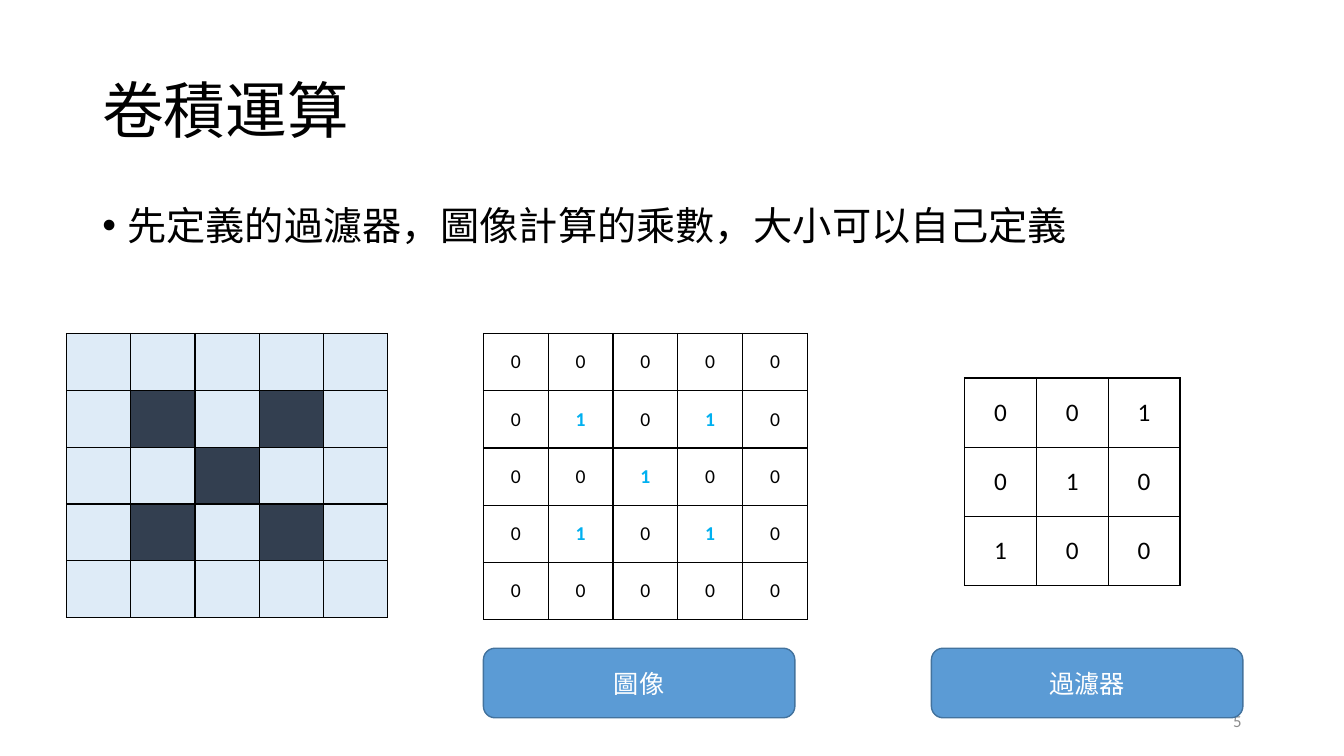
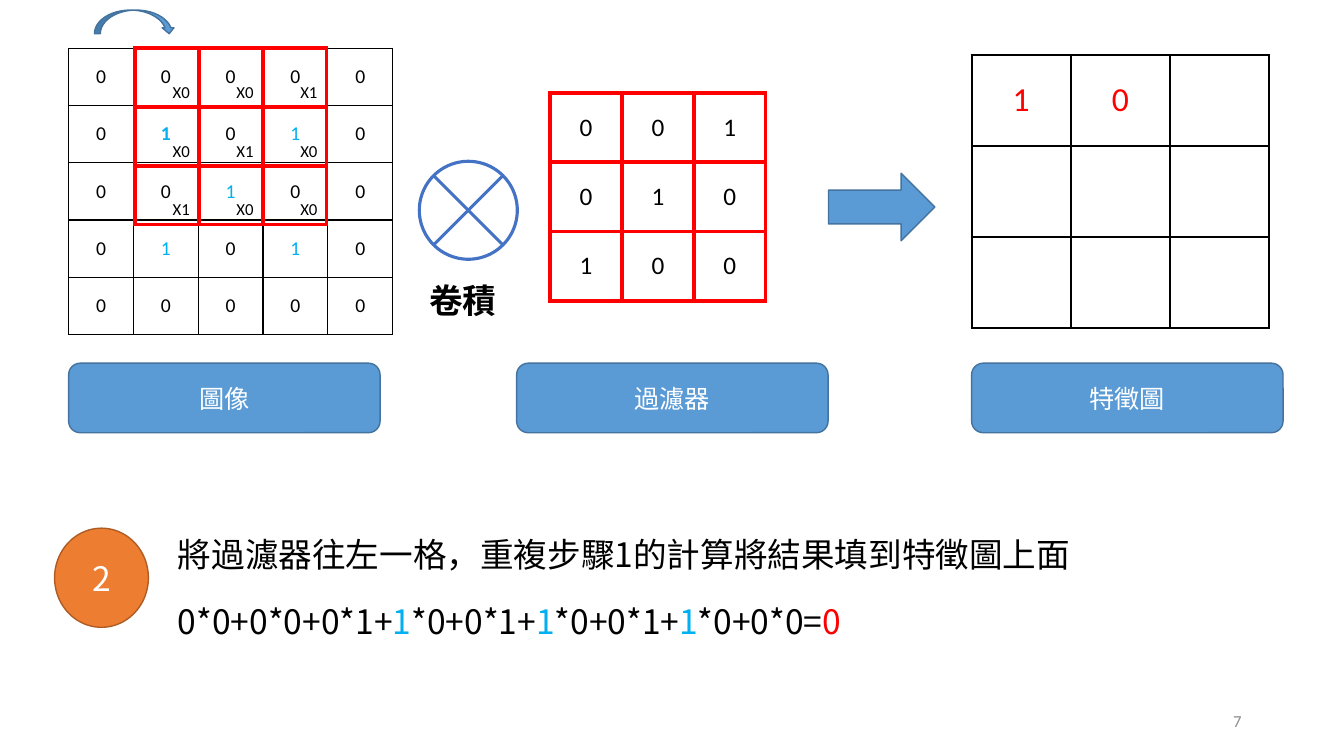
"""Builds two slides that explain the convolution of an image with a filter."""
from lxml.etree import SubElement
from pptx import Presentation
from pptx.dml.color import RGBColor
from pptx.enum.shapes import MSO_SHAPE as Shape
from pptx.enum.text import MSO_ANCHOR as Anchor, MSO_AUTO_SIZE as AutoSize, PP_ALIGN as Align
from pptx.oxml.ns import qn
from pptx.util import Pt

LATIN, CJK = "Calibri", "Noto Sans CJK SC"
BLACK, WHITE, RED, CYAN, GRAY = "000000", "FFFFFF", "FF0000", "00B0F0", "8C8C8C"
BLUE, BLUE_EDGE, JUNCTION_EDGE = "5B9BD5", "43739E", "4472C4"
ORANGE, ORANGE_EDGE = "ED7D31", "AF5C24"
PIXEL_FILLS = {"0": "DEEBF7", "1": "333F50"}

IMAGE = ["00000", "01010", "00100", "01010", "00000"]
FILTER = ["001", "010", "100"]
FEATURES = [["1", "0", ""], ["", "", ""], ["", "", ""]]
IMAGE_CELL, PIXEL_CELL, FILTER_CELL = (46.3, 40.9), (45.9, 40.6), (51.3, 49.5)
MULTIPLIER_CELL, FEATURE_CELL = (45.6, 42), (70.9, 64.9)
LABEL_SIZE = (222.5, 49.7)


def color(value):
    return RGBColor.from_string(value)


def assign(target, values):
    for name, value in values.items():
        setattr(target, name, value)


class Deck:
    def __init__(self):
        self.presentation = Presentation()
        assign(self.presentation, {"slide_width": Pt(960), "slide_height": Pt(540)})
        self.slide = None

    def add_slide(self, number):
        self.slide = self.presentation.slides.add_slide(self.presentation.slide_layouts[6])
        self.text(678, 500.4, 216, 28.8, [(str(number), GRAY)], size=12, font=LATIN,
                  align=Align.RIGHT, anchor=Anchor.MIDDLE)

    def add_runs(self, paragraph, runs, size, font=CJK, bold=False, align=Align.LEFT):
        paragraph.alignment = align
        for content, tint in runs:
            run = paragraph.add_run()
            run.text = content
            assign(run.font, {"name": font, "size": Pt(size), "bold": bold})
            run.font.color.rgb = color(tint)
            SubElement(run.font._element, qn("a:ea"), typeface=font)

    def text(self, left, top, width, height, runs, size, anchor=Anchor.TOP, grow=False,
             bullet=False, spacing=1.0, **style):
        box = self.slide.shapes.add_textbox(Pt(left), Pt(top), Pt(width), Pt(height))
        assign(box.text_frame, {
            "word_wrap": True,
            "vertical_anchor": anchor,
            "auto_size": AutoSize.SHAPE_TO_FIT_TEXT if grow else AutoSize.NONE,
        })
        paragraph = box.text_frame.paragraphs[0]
        if bullet:
            properties = paragraph._p.get_or_add_pPr()
            properties.set("marL", str(Pt(18)))
            properties.set("indent", str(-Pt(18)))
            SubElement(properties, qn("a:buFont"), typeface="Arial")
            SubElement(properties, qn("a:buChar"), char="•")
        paragraph.line_spacing = spacing
        self.add_runs(paragraph, runs, size, **style)

    def title(self, content):
        self.text(66, 28.8, 828, 104.4, [(content, BLACK)], 44, anchor=Anchor.MIDDLE, spacing=0.9)

    def shape(self, kind, left, top, width, height, fill=BLUE, edge=BLUE_EDGE, weight=1,
              content="", size=18):
        shape = self.slide.shapes.add_shape(kind, Pt(left), Pt(top), Pt(width), Pt(height))
        shape.shadow.inherit = False
        shape.fill.solid()
        shape.fill.fore_color.rgb = color(fill)
        shape.line.color.rgb = color(edge)
        shape.line.width = Pt(weight)
        if content:
            shape.text_frame.vertical_anchor = Anchor.MIDDLE
            self.add_runs(shape.text_frame.paragraphs[0], [(content, WHITE)], size,
                          align=Align.CENTER)

    def labels(self, top, places):
        for left, content in places:
            self.shape(Shape.ROUNDED_RECTANGLE, left, top, *LABEL_SIZE, content=content)

    def border(self, cell, tint, weight):
        properties = cell._tc.get_or_add_tcPr()
        for side in ("lnL", "lnR", "lnT", "lnB"):
            line = SubElement(properties, qn(f"a:{side}"), w=str(Pt(weight)))
            SubElement(SubElement(line, qn("a:solidFill")), qn("a:srgbClr"), val=tint)

    def grid(self, left, top, cell_size, rows, size=14, tint=BLACK, one_tint=None, bold_ones=(),
             edge=BLACK, weight=1, fills=None, align=Align.CENTER, anchor=Anchor.MIDDLE,
             margins=(6, 3)):
        width, height = cell_size
        columns = len(rows[0])
        table = self.slide.shapes.add_table(
            len(rows), columns, Pt(left), Pt(top),
            Pt(width * columns), Pt(height * len(rows))).table
        assign(table, {"first_row": False, "horz_banding": False})
        for column in table.columns:
            column.width = Pt(width)
        side, end = map(Pt, margins)
        for row_index, row in enumerate(rows):
            table.rows[row_index].height = Pt(height)
            for column_index, value in enumerate(row):
                cell = table.cell(row_index, column_index)
                assign(cell, {"vertical_anchor": anchor, "margin_left": side,
                              "margin_right": side, "margin_top": end, "margin_bottom": end})
                self.border(cell, edge, weight)
                if fills:
                    cell.fill.solid()
                    cell.fill.fore_color.rgb = color(fills[value])
                    continue
                cell.fill.background()
                if value:
                    value_tint = one_tint if one_tint and value == "1" else tint
                    self.add_runs(cell.text_frame.paragraphs[0], [(value, value_tint)], size,
                                  LATIN, (row_index, column_index) in bold_ones, align)

    def image_grid(self, left, top, bold_ones):
        self.grid(left, top, IMAGE_CELL, IMAGE, one_tint=CYAN, bold_ones=bold_ones)

    def filter_grid(self, left, top, **border):
        self.grid(left, top, FILTER_CELL, FILTER, size=18, margins=(7.2, 3.6), **border)


def add_definition(deck):
    deck.add_slide(5)
    deck.title("卷積運算")
    deck.text(66, 144, 828, 40, [("先定義的過濾器，圖像計算的乘數，大小可以自己定義", BLACK)], 28,
              bullet=True, spacing=0.9)
    ones = [(row, column) for row, values in enumerate(IMAGE)
            for column, value in enumerate(values) if value == "1"]
    deck.image_grid(345.3, 238.2, ones)
    deck.grid(47.5, 238.2, PIXEL_CELL, IMAGE, fills=PIXEL_FILLS)
    deck.filter_grid(689, 270)
    deck.labels(463, [(345.3, "圖像"), (665.3, "過濾器")])


def add_second_step(deck):
    deck.add_slide(7)
    deck.image_grid(49, 34.5, [(1, 1)])
    deck.filter_grid(393, 66.4, edge=RED, weight=3)
    deck.labels(259.4, [(49, "圖像"), (369, "過濾器"), (694, "特徵圖")])
    deck.shape(Shape.FLOWCHART_SUMMING_JUNCTION, 299.5, 115.2, 70, 70,
               fill=WHITE, edge=JUNCTION_EDGE, weight=2.25)
    deck.text(299.5, 196.6, 70, 36, [("卷積", BLACK)], 24, grow=True, bold=True)
    deck.grid(694, 39.4, FEATURE_CELL, FEATURES, size=24, tint=RED, weight=1.5, margins=(5, 2.5))
    deck.shape(Shape.RIGHT_ARROW, 591.8, 123.8, 76, 48.2)
    formula = ["0*0+0*0+0*1+", "1", "*0+0*1+", "1", "*0+0*1+", "1", "*0+0*0="]
    runs = [(part, CYAN if part == "1" else BLACK) for part in formula] + [("0", RED)]
    deck.text(120, 425.5, 803.5, 36, runs, 24, grow=True)
    multipliers = [[f"X{value}" for value in row] for row in FILTER]
    deck.grid(96.5, 34.5, MULTIPLIER_CELL, multipliers, size=12, edge=RED, weight=3,
              align=Align.RIGHT, anchor=Anchor.BOTTOM, margins=(6.5, 3))
    deck.text(120, 377.5, 803.5, 36,
              [("將過濾器往左一格，重複步驟1的計算將結果填到特徵圖上面", BLACK)], 24, grow=True)
    deck.shape(Shape.OVAL, 39, 377.3, 67, 70.8, fill=ORANGE, edge=ORANGE_EDGE,
               content="2", size=24)
    deck.shape(Shape.CURVED_DOWN_ARROW, 67.5, 7.2, 57.6, 16.9)


def main():
    deck = Deck()
    add_definition(deck)
    add_second_step(deck)
    deck.presentation.save("out.pptx")


if __name__ == "__main__":
    main()
